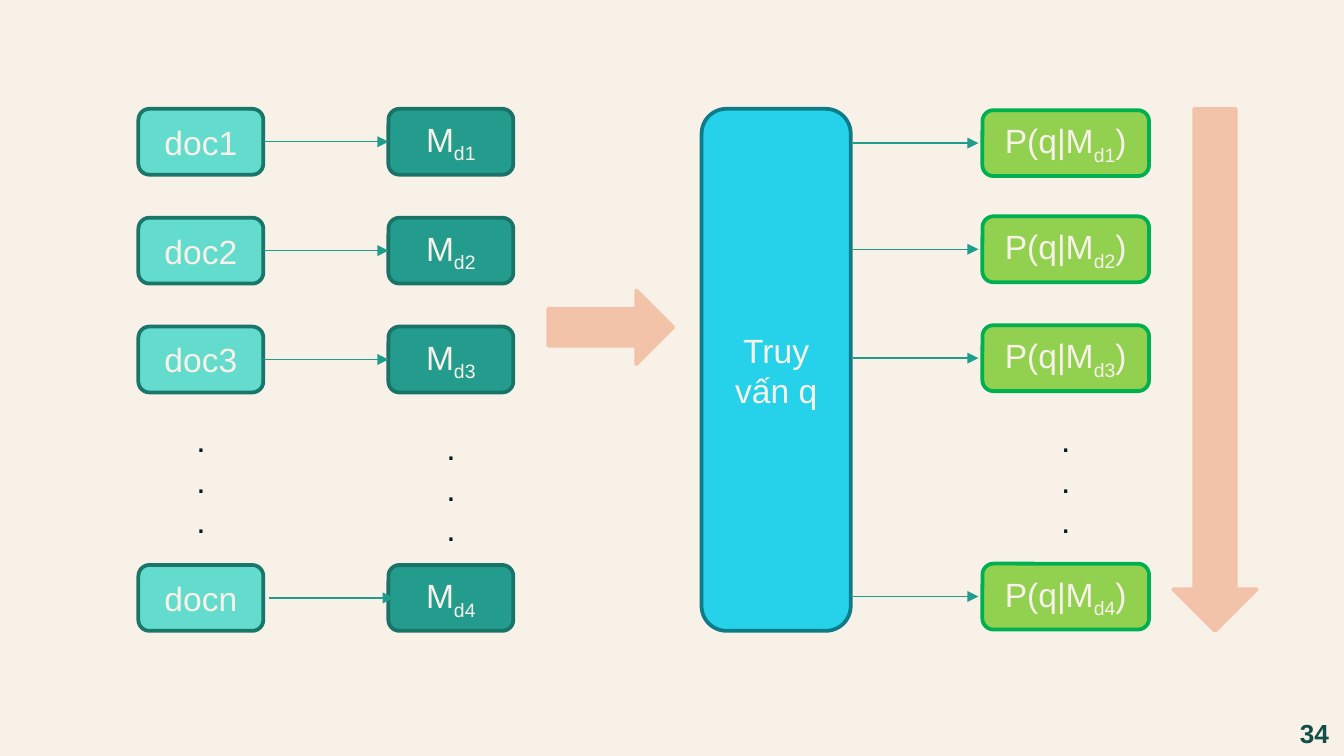
"""Build the slide that ranks documents by query likelihood."""
from lxml.etree import SubElement
from pptx import Presentation
from pptx.dml.color import RGBColor
from pptx.enum.shapes import MSO_CONNECTOR, MSO_SHAPE
from pptx.enum.text import MSO_ANCHOR, MSO_AUTO_SIZE, PP_ALIGN
from pptx.oxml.ns import qn
from pptx.util import Inches, Pt

ROWS = [("doc1", "d1"), ("doc2", "d2"), ("doc3", "d3"), ("docn", "d4")]
STEPS = [0, 1, 2, 4.19]
TOP, PITCH, HIGH = 0.81, 0.81, 0.49
TALL = STEPS[-1] * PITCH + HIGH
LIFTS = [0.01, -0.01, -0.01, -0.01]
DOC = (1.03, 0.93, "63DCCD", "1A756A")
MODEL = (2.89, 0.93, "239C8D", "1A7368")
QUERY = (5.22, 1.11, "26D2E9", "0E7B89")
SCORE = (7.31, 1.24, "92D050", "00B050")
DOTS = [(DOC, 3.07), (MODEL, 3.13), (SCORE, 3.07)]
PALE, INK, PEACH, TEAL, DEEP = "F8F1E8", "031A1D", "F2C2A9", "1F9C8C", "124E46"


def rgb(code):
    """Turn a hex string into a colour."""
    return RGBColor.from_string(code)


def write(frame, lines, color, size=18, bold=False):
    """Fill a frame with centred lines, each a list of (text, baseline) runs."""
    frame.word_wrap = True
    for i, parts in enumerate(lines):
        para = frame.add_paragraph() if i else frame.paragraphs[0]
        para.alignment = PP_ALIGN.CENTER
        for text, base in parts:
            run = para.add_run()
            run.text = text
            font = run.font
            font.name, font.size, font.bold = "Arial", Pt(size), bold
            font.color.rgb = rgb(color)
            if base:
                run._r.get_or_add_rPr().set("baseline", str(base * 1000))


def block(kind, x, y, w, h, fill, edge):
    """Add a filled preset shape."""
    shape = slide.shapes.add_shape(kind, *map(Inches, (x, y, w, h)))
    shape.shadow.inherit = False
    shape.fill.solid()
    shape.fill.fore_color.rgb = rgb(fill)
    shape.line.color.rgb = rgb(edge)
    shape.line.width = Pt(2)
    return shape


def box(col, y, h, parts):
    """Add a rounded box with one line of text in a column."""
    x, w, fill, edge = col
    shape = block(MSO_SHAPE.ROUNDED_RECTANGLE, x, y, w, h, fill, edge)
    shape.text_frame.vertical_anchor = MSO_ANCHOR.MIDDLE
    write(shape.text_frame, [parts], PALE)
    return shape


def label(x, y, w, h, lines, color, **style):
    """Add a text box."""
    frame = slide.shapes.add_textbox(*map(Inches, (x, y, w, h))).text_frame
    write(frame, lines, color, **style)
    frame.auto_size = MSO_AUTO_SIZE.SHAPE_TO_FIT_TEXT


def arrow(x, y, w=0.93):
    """Add a thin level arrow."""
    line = slide.shapes.add_connector(
        MSO_CONNECTOR.STRAIGHT, *map(Inches, (x, y, x + w, y)))
    line.line.color.rgb = rgb(TEAL)
    line.line.width = Pt(0.75)
    SubElement(line.line._get_or_add_ln(), qn("a:tailEnd"), type="triangle")
    SubElement(line._element.spPr, qn("a:effectLst"))
    return line


deck = Presentation()
deck.slide_width, deck.slide_height = Inches(10), Inches(10 * 9 / 16)
slide = deck.slides.add_slide(deck.slide_layouts[6])
slide.background.fill.solid()
slide.background.fill.fore_color.rgb = rgb(PALE)

box(QUERY, TOP, TALL, [("Truy vấn q", 0)])
for (doc, sub), step, lift in zip(ROWS, STEPS, LIFTS):
    y = TOP + step * PITCH
    mid = y + HIGH / 2
    left = box(DOC, y, HIGH, [(doc, 0)])
    right = box(MODEL, y, HIGH, [("M", 0), (sub, -25)])
    if doc == "docn":
        arrow(2, mid)
    else:
        link = arrow(1.96, mid)
        link.begin_connect(left, 3)
        link.end_connect(right, 1)
    box(SCORE, y + lift, HIGH, [("P(q|M", 0), (sub, -25), (")", 0)])
    arrow(6.35, mid + lift)

for (x, w, *_), y in DOTS:
    label(x + (w - 0.41) / 2, y, 0.41, 1.01, [[(".", 0)]] * 3, INK)

block(MSO_SHAPE.RIGHT_ARROW, 4.08, 2.16, 0.93, 0.55, PEACH, PEACH)
block(MSO_SHAPE.UP_ARROW, 8.73, TOP, 0.62, TALL, PEACH, PEACH).rotation = 180
label(9.56, 5.29, 0.44, 0.34, [[("34", 0)]], DEEP, size=14, bold=True)
deck.save("out.pptx")
